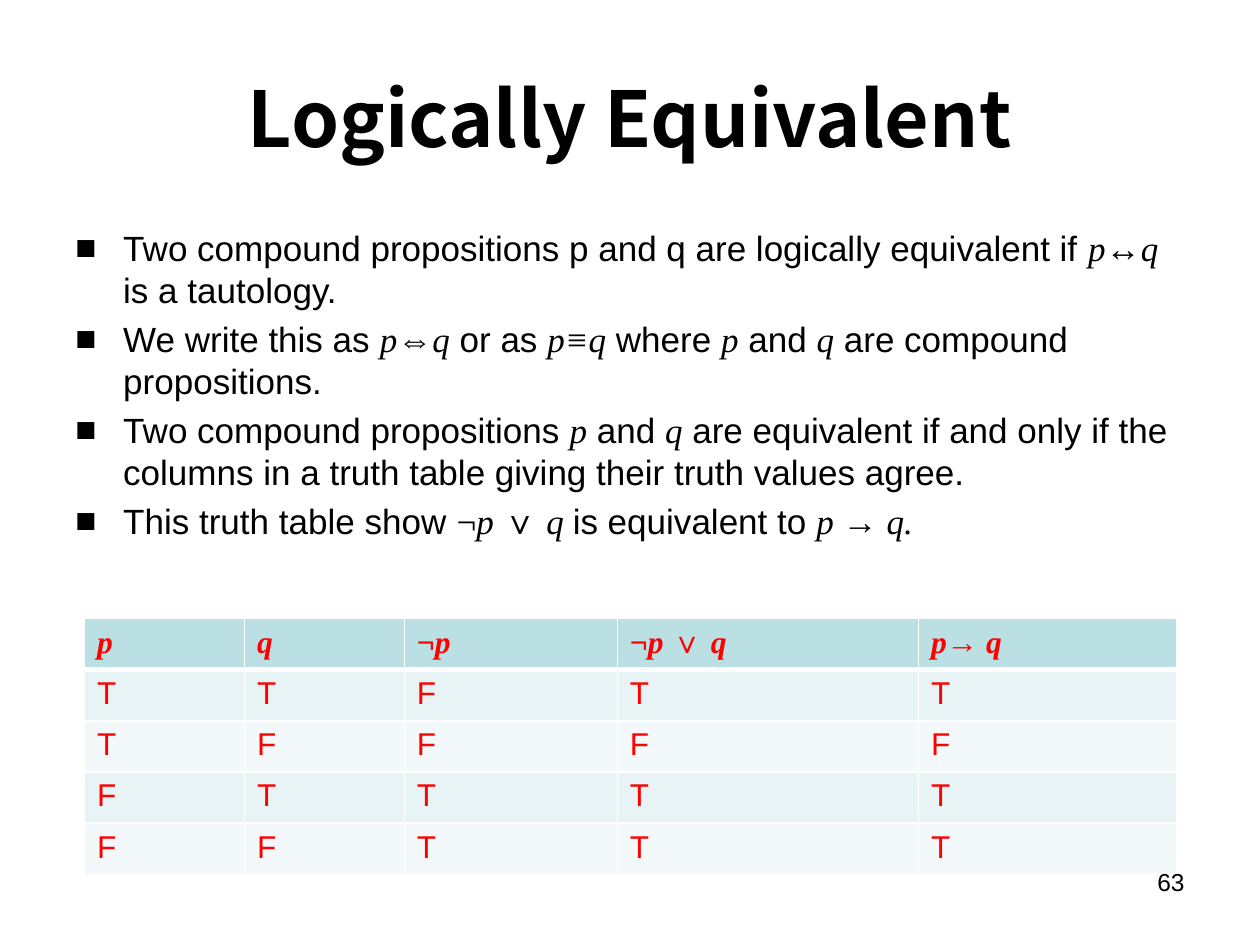
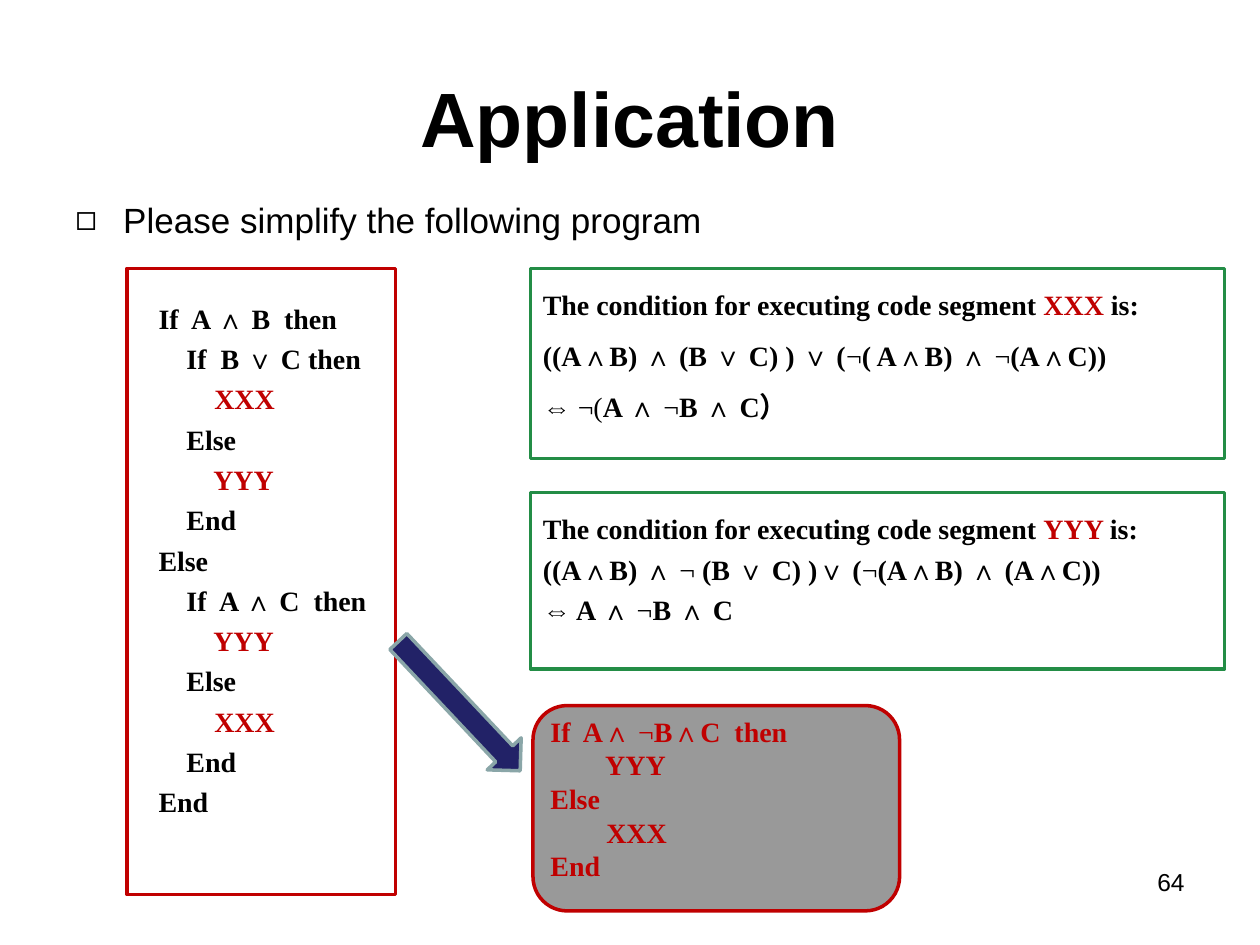
"""Two slides on logical equivalence: a truth table and a program to simplify."""
from lxml.etree import SubElement
from pptx import Presentation
from pptx.dml.color import RGBColor
from pptx.enum.shapes import MSO_SHAPE
from pptx.enum.text import MSO_ANCHOR, PP_ALIGN
from pptx.oxml.ns import qn
from pptx.util import Inches, Pt

COLORS = {
    "black": "000000", "white": "FFFFFF", "red": "FF0000", "crimson": "C00000",
    "green": "238D46", "gray": "999999", "navy": "222267", "steel": "8AA6A8",
    "header": "BBE0E3", "odd": "E7F3F4", "even": "F3F9FA",
}
SANS, SERIF, CJK = "Arial", "Times New Roman", "Noto Sans CJK SC"
STYLES = {
    "title cjk": (CJK, 44, "black", True, False),
    "title": (SANS, 44, "black", True, False),
    "body": (SANS, 20, "black", False, False),
    "variable": (SERIF, 20, "black", False, True),
    "symbol": (SERIF, 20, "black", False, False),
    "head": (SERIF, 18, "red", True, True),
    "head symbol": (SERIF, 18, "red", True, False),
    "value": (SANS, 18, "red", False, False),
    "code": (SERIF, 16, "black", True, False),
    "not": (SERIF, 16, "black", False, False),
    "segment": (SERIF, 16, "crimson", True, False),
    "segment not": (SERIF, 16, "crimson", False, False),
    "page": (SANS, 14, "black", False, False),
}


def add_runs(paragraph, runs):
    for text, style in runs:
        name, size, color, bold, italic = STYLES[style]
        run = paragraph.add_run()
        run.text = text
        run.font.name, run.font.size = name, Pt(size)
        run.font.bold, run.font.italic = bold, italic
        run.font.color.rgb = RGBColor.from_string(COLORS[color])


def add_text(slide, box, paragraphs, align=PP_ALIGN.LEFT, anchor=MSO_ANCHOR.TOP,
             spacing=None, before=0, bullet=None, margin=0):
    frame = slide.shapes.add_textbox(*map(Inches, box)).text_frame
    frame.word_wrap = True
    frame.vertical_anchor = anchor
    for index, runs in enumerate(paragraphs):
        paragraph = frame.paragraphs[0] if index == 0 else frame.add_paragraph()
        paragraph.alignment = align
        if spacing:
            paragraph.line_spacing = spacing
        if before and index:
            paragraph.space_before = Pt(before)
        properties = paragraph._p.get_or_add_pPr()
        properties.set("marL", str(Inches(margin)))
        if bullet:
            properties.set("indent", str(-Inches(margin)))
            SubElement(properties, qn("a:buFont"), typeface=SANS)
            SubElement(properties, qn("a:buChar"), char=bullet)
        add_runs(paragraph, runs)


prs = Presentation()
prs.slide_width, prs.slide_height = Inches(10), Inches(7.5)

slides = []
for title, title_style in (("Logically Equivalent", "title cjk"), ("Application", "title")):
    slide = prs.slides.add_slide(prs.slide_layouts[6])
    add_text(slide, (0.5, 0.3, 9, 1.25), [[(title, title_style)]],
             PP_ALIGN.CENTER, MSO_ANCHOR.MIDDLE)
    slides.append(slide)
equivalence, application = slides

definitions = [
    [("Two compound propositions p and q are logically equivalent if ", "body"),
     ("p↔q", "variable"), (" is a tautology.", "body")],
    [("We write this as ", "body"), ("p⇔q", "variable"), (" or as ", "body"),
     ("p≡q", "variable"), (" where ", "body"), ("p", "variable"), (" and ", "body"),
     ("q", "variable"), (" are compound propositions.", "body")],
    [("Two compound propositions ", "body"), ("p", "variable"), (" and ", "body"),
     ("q", "variable"),
     (" are equivalent if and only if the columns in a truth table giving "
      "their truth values agree.", "body")],
    [("This truth table show ", "body"), ("¬", "symbol"), ("p ", "variable"),
     ("∨ ", "symbol"), ("q ", "variable"), ("is equivalent to ", "body"),
     ("p → q.", "variable")],
]
add_text(equivalence, (0.5, 1.75, 9, 4.95), definitions, before=4, bullet="■", margin=0.38)

propositions = [
    [("p", "head")],
    [("q", "head")],
    [("¬", "head symbol"), ("p", "head")],
    [("¬", "head symbol"), ("p ", "head"), ("∨ ", "head symbol"), ("q", "head")],
    [("p→ q", "head")],
]
truth_rows = [propositions] + [
    [[(value, "value")] for value in values] for values in ("TTFTT", "TFFFF", "FTTTT", "FFTTT")
]
truth_table = equivalence.shapes.add_table(
    5, 5, Inches(0.67), Inches(4.91), Inches(8.67), Inches(2.03)).table
for column, width in zip(truth_table.columns, (1.27, 1.27, 1.69, 2.39, 2.05)):
    column.width = Inches(width)
for r, row in enumerate(truth_rows):
    truth_table.rows[r].height = Inches(2.03 / len(truth_rows))
    shade = "header" if r == 0 else "odd" if r % 2 else "even"
    for c, runs in enumerate(row):
        cell = truth_table.cell(r, c)
        add_runs(cell.text_frame.paragraphs[0], runs)
        borders = cell._tc.get_or_add_tcPr()
        for side in ("lnL", "lnR", "lnT", "lnB"):
            thick = (r, side) in ((0, "lnB"), (1, "lnT"))
            line = SubElement(borders, qn(f"a:{side}"), w=str(Pt(3 if thick else 1)))
            SubElement(SubElement(line, qn("a:solidFill")), qn("a:srgbClr"), val=COLORS["white"])
        cell.fill.solid()
        cell.fill.fore_color.rgb = RGBColor.from_string(COLORS[shade])

add_text(application, (0.5, 1.53, 9, 0.5),
         [[("Please simplify the following program", "body")]], bullet="◻", margin=0.38)

for preset, box, fill, outline, rotation in (
    (MSO_SHAPE.ROUNDED_RECTANGLE, (4.23, 5.6, 2.91, 1.63), "gray", "crimson", 0),
    (MSO_SHAPE.RECTANGLE, (1.01, 2.13, 2.13, 4.97), None, "crimson", 0),
    (MSO_SHAPE.RECTANGLE, (4.21, 2.13, 5.51, 1.51), None, "green", 0),
    (MSO_SHAPE.RECTANGLE, (4.21, 3.91, 5.51, 1.4), None, "green", 0),
    (MSO_SHAPE.RIGHT_ARROW, (2.94, 5.42, 1.41, 0.37), "navy", "steel", 46.7),
):
    shape = application.shapes.add_shape(preset, *map(Inches, box))
    shape.shadow.inherit = False
    shape.rotation = rotation
    shape.line.width = Pt(2)
    shape.line.color.rgb = RGBColor.from_string(COLORS[outline])
    if fill:
        shape.fill.solid()
        shape.fill.fore_color.rgb = RGBColor.from_string(COLORS[fill])
    else:
        shape.fill.background()

condition_xxx = [
    [("((A∧B) ∧ (B ∨ C) ) ∨ (", "code"), ("¬", "not"), ("( A∧B) ∧ ", "code"),
     ("¬", "not"), ("(A∧C))", "code")],
    [("⇔ ", "code"), ("¬(", "not"), ("A ∧ ", "code"), ("¬", "not"), ("B ∧ C）", "code")],
]
condition_yyy = [
    [("((A∧B) ∧ ", "code"), ("¬ ", "not"), ("(B ∨ C) )∨ (", "code"), ("¬", "not"),
     ("(A∧B) ∧ (A∧C))", "code")],
    [("⇔ A ∧ ", "code"), ("¬", "not"), ("B ∧ C", "code")],
]
for segment, box, condition, spacing, before in (
    ("XXX ", (4.21, 2.21, 5.51, 1.24), condition_xxx, 1.1, 8),
    ("YYY ", (4.21, 3.96, 5.35, 1.04), condition_yyy, 1.2, 0),
):
    heading = [("The condition for executing code segment ", "code"),
               (segment, "segment"), ("is:", "code")]
    add_text(application, box, [heading] + condition, spacing=spacing, before=before)

program = [
    (0, "If  A ∧ B  then"), (1, "If  B ∨ C then"), (2, "XXX"), (1, "Else"), (2, "YYY"),
    (1, "End"), (0, "Else"), (1, "If  A ∧ C  then"), (2, "YYY"), (1, "Else"),
    (2, "XXX"), (1, "End"), (0, "End"),
]
program_lines = [
    [(" " * 4 * depth + code, "segment" if depth == 2 else "code")] for depth, code in program
]
add_text(application, (1.06, 2.29, 2.91, 4.57), program_lines,
         PP_ALIGN.JUSTIFY, spacing=1.2, margin=0.1)

simplified = [[("If  A∧ ", "segment"), ("¬", "segment not"), ("B∧C  then", "segment")]]
for depth, code in ((2, "YYY"), (0, "Else"), (2, "XXX"), (0, "End")):
    simplified.append([(" " * 4 * depth + code, "segment")])
add_text(application, (4.27, 5.62, 3.11, 1.62), simplified)

for page, slide in enumerate(slides, start=63):
    add_text(slide, (7.17, 6.83, 2.33, 0.52), [[(str(page), "page")]], PP_ALIGN.RIGHT)

prs.save("out.pptx")
